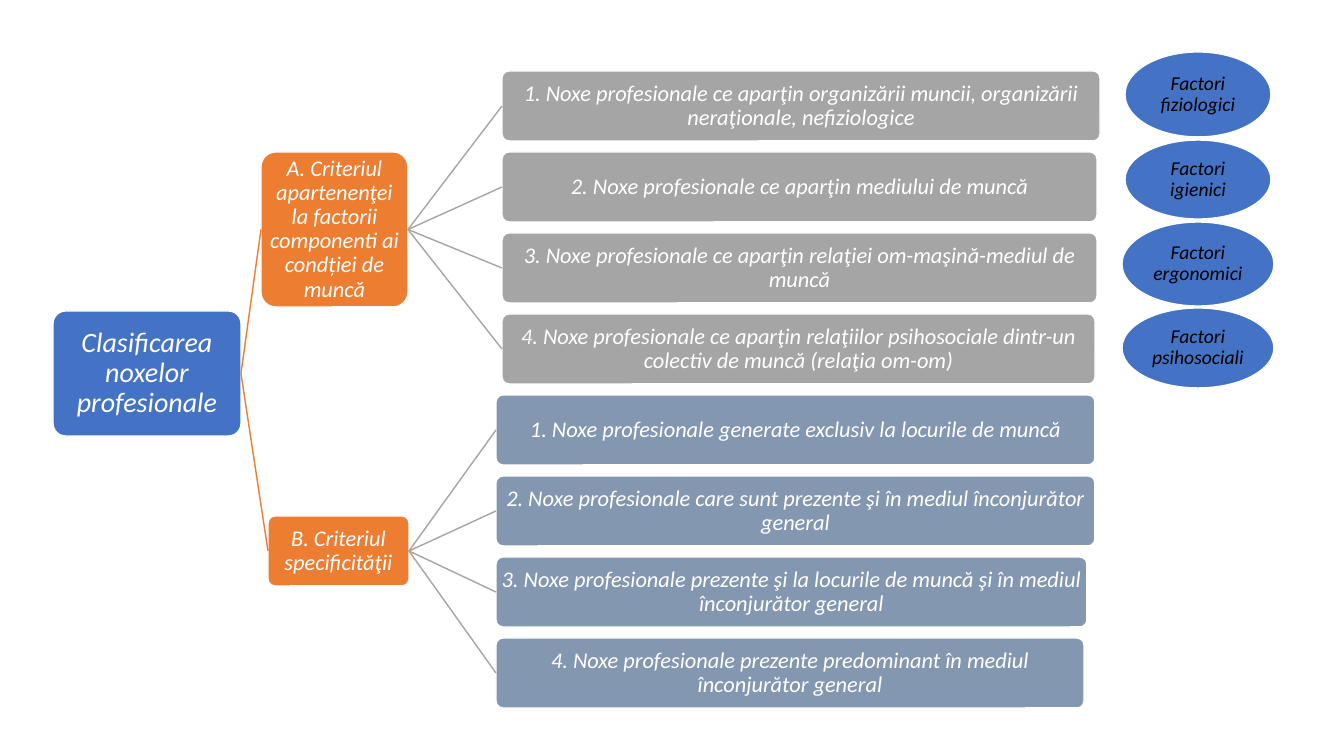
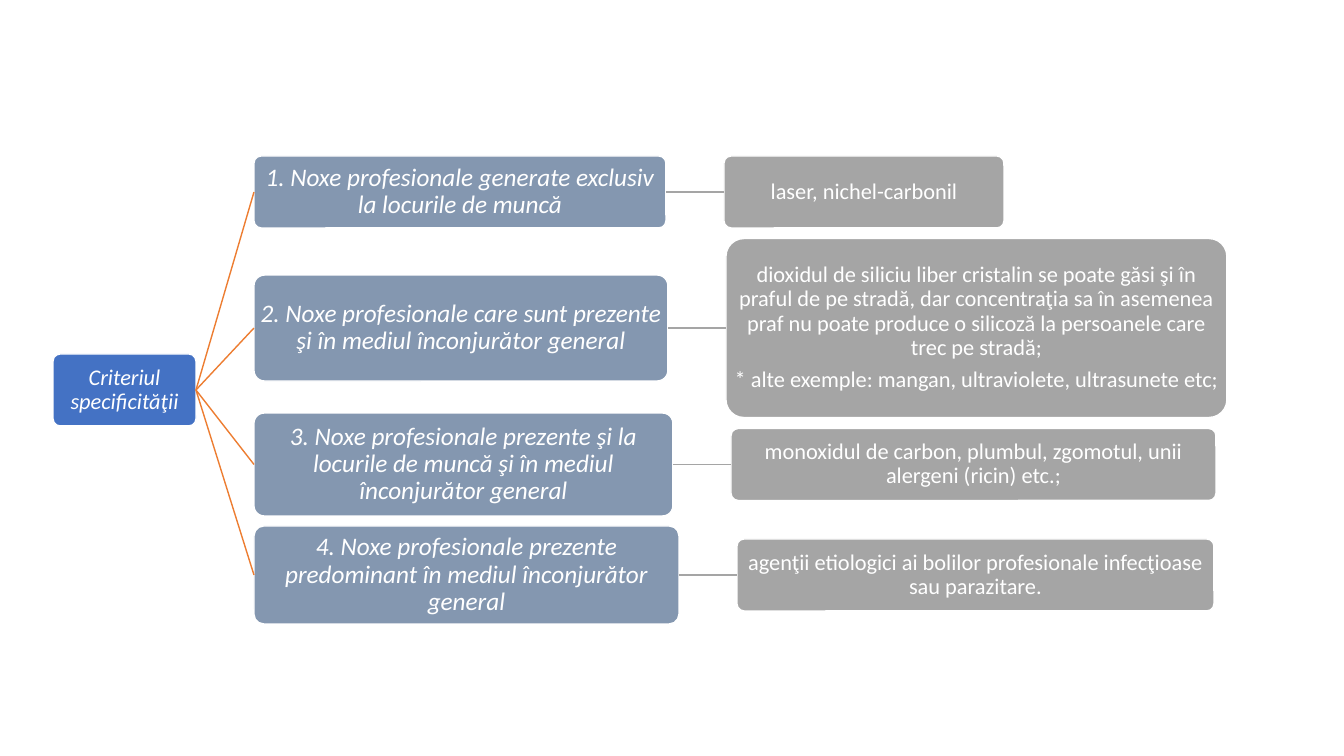
from lxml.etree import SubElement
from pptx import Presentation
from pptx.dml.color import RGBColor
from pptx.enum.shapes import MSO_CONNECTOR, MSO_SHAPE
from pptx.enum.text import MSO_ANCHOR, PP_ALIGN
from pptx.oxml.ns import qn
from pptx.util import Emu, Pt

SLIDE_WIDTH, SLIDE_HEIGHT = 1344, 756
EMU_PER_PX = 12192000 / SLIDE_WIDTH
BLANK_LAYOUT = 6
LEFT_SIDE, RIGHT_SIDE = 1, 3

WHITE = RGBColor(0xFF, 0xFF, 0xFF)
BLACK = RGBColor(0x00, 0x00, 0x00)
BLUE = RGBColor(0x44, 0x72, 0xC4)
ORANGE = RGBColor(0xED, 0x7D, 0x31)
GREY = RGBColor(0xA5, 0xA5, 0xA5)
SLATE = RGBColor(0x84, 0x97, 0xB0)

SPECIFICITY_HAZARDS = [
    "1. Noxe profesionale generate exclusiv la locurile de muncă",
    "2. Noxe profesionale care sunt prezente şi în mediul înconjurător general",
    "3. Noxe profesionale prezente şi la locurile de muncă şi în mediul înconjurător general",
    "4. Noxe profesionale prezente predominant în mediul înconjurător general",
]


def px(length):
    return Emu(round(length * EMU_PER_PX))


class DiagramDeck:
    """Holds the deck, its diagram style and the current slide."""

    font = "Calibri"
    line_width = Pt(1)
    line_spacing = 0.9
    para_gap = Pt(6)

    def __init__(self):
        self.deck = Presentation()
        self.deck.slide_width = px(SLIDE_WIDTH)
        self.deck.slide_height = px(SLIDE_HEIGHT)
        self.slide = None

    def new_slide(self):
        layout = self.deck.slide_layouts[BLANK_LAYOUT]
        self.slide = self.deck.slides.add_slide(layout)

    def _shape(self, kind, place, fill):
        shape = self.slide.shapes.add_shape(kind, *map(px, place))
        shape.shadow.inherit = False
        shape.fill.solid()
        shape.fill.fore_color.rgb = fill
        shape.line.color.rgb = WHITE
        shape.line.width = self.line_width
        return shape

    def _write(self, shape, lines, size, color, italic, margin):
        frame = shape.text_frame
        frame.word_wrap = True
        frame.vertical_anchor = MSO_ANCHOR.MIDDLE
        frame.margin_left = frame.margin_right = px(margin)
        frame.margin_top = frame.margin_bottom = px(margin)
        for index, line in enumerate(lines):
            para = frame.add_paragraph() if index else frame.paragraphs[0]
            para.alignment = PP_ALIGN.CENTER
            para.line_spacing = self.line_spacing
            if index:
                para.space_before = self.para_gap
            span = para.add_run()
            span.text = line
            span.font.name = self.font
            span.font.size = Pt(size)
            span.font.italic = italic
            span.font.color.rgb = color

    def box(self, place, fill, *lines, size=16, italic=True):
        box = self._shape(MSO_SHAPE.ROUNDED_RECTANGLE, place, fill)
        box.adjustments[0] = 0.1
        self._write(box, lines, size, WHITE, italic, margin=1)
        return box

    def oval(self, place, text):
        oval = self._shape(MSO_SHAPE.OVAL, place, BLUE)
        self._write(oval, [text], 14, BLACK, True, margin=3)

    def join(self, parent, child, color):
        """Draw a line from the parent's right side to the child's left side."""
        line = self.slide.shapes.add_connector(MSO_CONNECTOR.STRAIGHT, 0, 0, 0, 0)
        line.begin_connect(parent, RIGHT_SIDE)
        line.end_connect(child, LEFT_SIDE)
        line.line.color.rgb = color
        line.line.width = self.line_width
        SubElement(line._element.spPr, qn("a:effectLst"))

    def save(self):
        self.deck.save("out.pptx")


def add_classification(deck):
    deck.new_slide()
    root = deck.box((53, 311, 188, 125), BLUE,
                    "Clasificarea noxelor profesionale", size=20)
    component_hazards = [
        "1. Noxe profesionale ce aparţin organizării muncii, organizării neraţionale, nefiziologice",
        "2. Noxe profesionale ce aparţin mediului de muncă",
        "3. Noxe profesionale ce aparţin relaţiei om-maşină-mediul de muncă",
        "4. Noxe profesionale ce aparţin relaţiilor psihosociale dintr-un colectiv de muncă "
        "(relaţia om-om)",
    ]
    criteria = [
        ((261, 152, 147, 155),
         "A. Criteriul apartenenţei la factorii componenti ai condției de muncă",
         GREY, 502, (598, 595, 595, 593), component_hazards),
        ((268, 516, 141, 70), "B. Criteriul specificităţii",
         SLATE, 496, (599, 599, 591, 588), SPECIFICITY_HAZARDS),
    ]
    top, pitch, height = 71, 81, 70
    for place, title, fill, left, widths, hazards in criteria:
        criterion = deck.box(place, ORANGE, title)
        deck.join(root, criterion, ORANGE)
        for width, hazard in zip(widths, hazards):
            leaf = deck.box((left, top, width, height), fill, hazard)
            deck.join(criterion, leaf, GREY)
            top += pitch

    factors = [
        ((1125, 52, 146, 85), "Factori fiziologici"),
        ((1125, 140, 146, 79), "Factori igienici"),
        ((1122, 222, 152, 84), "Factori ergonomici"),
        ((1122, 308, 152, 80), "Factori psihosociali"),
    ]
    for place, text in factors:
        deck.oval(place, text)


def add_specificity(deck):
    deck.new_slide()
    root = deck.box((53, 354, 143, 72), BLUE, "Criteriul specificităţii")
    left, gap = 254, 58
    # Each row: hazard top, width, height; example width, height, lines
    rows = [
        (156, 412, 72, 280, 72, ["laser, nichel-carbonil"]),
        (275, 414, 106, 501, 179, [
            "dioxidul de siliciu liber cristalin se poate găsi şi în praful de pe stradă, "
            "dar concentraţia sa în asemenea praf nu poate produce o silicoză la persoanele "
            "care trec pe stradă;",
            "* alte exemple: mangan, ultraviolete, ultrasunete etc;"]),
        (413, 419, 103, 485, 72, [
            "monoxidul de carbon, plumbul, zgomotul, unii alergeni (ricin) etc.;"]),
        (526, 425, 98, 477, 72, [
            "agenţii etiologici ai bolilor profesionale infecţioase sau parazitare."]),
    ]
    for text, (top, width, height, example_width, example_height, lines) in zip(
            SPECIFICITY_HAZARDS, rows):
        hazard = deck.box((left, top, width, height), SLATE, text, size=18)
        example_top = top + (height - example_height) / 2
        example = deck.box((left + width + gap, example_top, example_width, example_height),
                           GREY, *lines, italic=False)
        deck.join(root, hazard, ORANGE)
        deck.join(hazard, example, GREY)


def main():
    deck = DiagramDeck()
    add_classification(deck)
    add_specificity(deck)
    deck.save()


if __name__ == "__main__":
    main()
